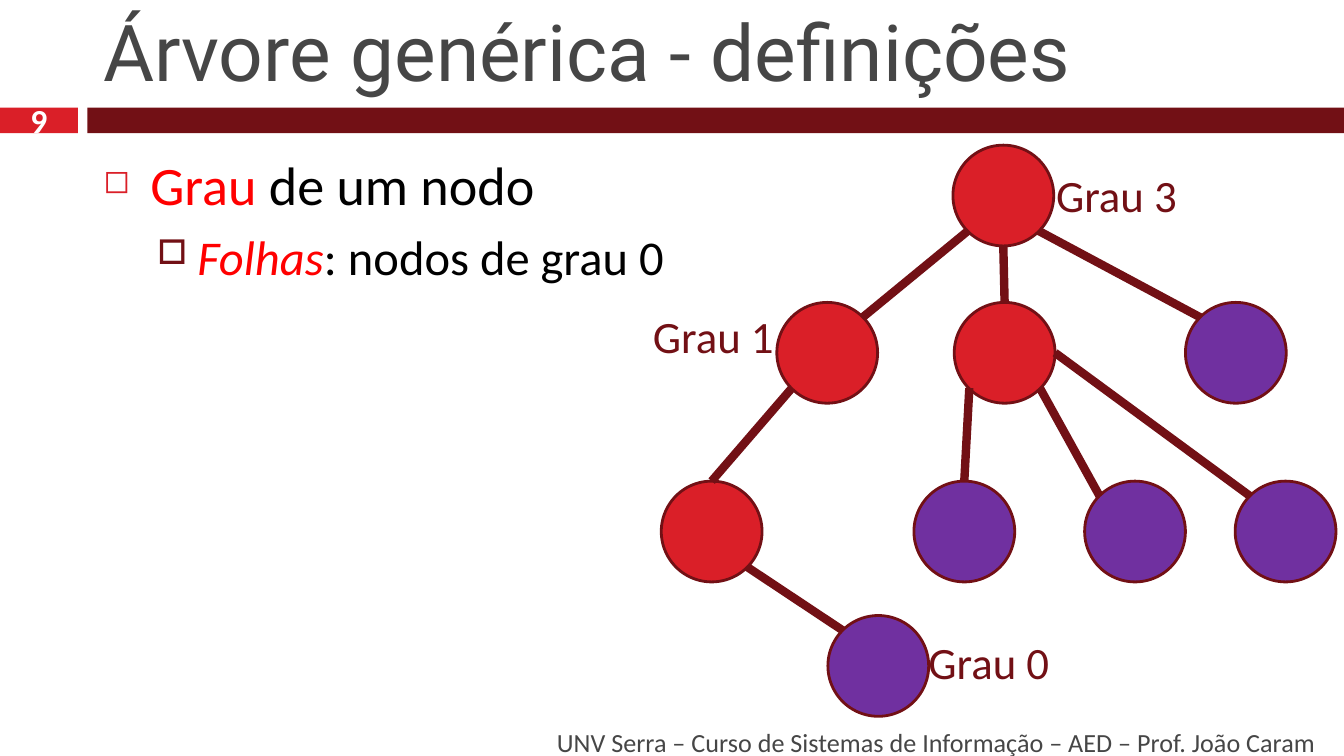
from lxml import etree
from pptx import Presentation
from pptx.dml.color import RGBColor
from pptx.enum.shapes import MSO_CONNECTOR as Connector, MSO_SHAPE as Shape
from pptx.enum.text import MSO_ANCHOR as Anchor, PP_ALIGN as Align
from pptx.oxml.ns import qn
from pptx.util import Inches, Pt

COLORS = {
    "red": "DA1F28",
    "wine": "721015",
    "purple": "7030A0",
    "highlight": "FF0000",
    "gray": "464646",
    "black": "000000",
    "white": "FFFFFF",
}

DIAMETER = 0.75
# Offsets from a node's corner, as shares of its diameter
SITES = {
    "top": (0.5, 0), "bottom": (0.5, 1), "right": (1, 0.5),
    "top left": (0.15, 0.15), "top right": (0.85, 0.15),
    "bottom left": (0.15, 0.85), "bottom right": (0.85, 0.85),
}

# name: (left, top, color)
NODES = {
    "root": (7.09, 1.08, "red"),
    "middle": (7.1, 2.25, "red"),
    "right leaf": (8.82, 2.25, "purple"),
    "left": (5.78, 2.25, "red"),
    "middle leaf 3": (9.19, 3.58, "purple"),
    "middle leaf 2": (8.07, 3.58, "purple"),
    "deep leaf": (6.16, 4.58, "purple"),
    "left child": (4.92, 3.58, "red"),
    "middle leaf 1": (6.8, 3.58, "purple"),
}

# (parent, its site, child, its site)
EDGES = [
    ("root", "bottom left", "left", "top right"),
    ("root", "bottom right", "right leaf", "top left"),
    ("root", "bottom", "middle", "top"),
    ("left", "bottom left", "left child", "top"),
    ("left child", "bottom right", "deep leaf", "top left"),
    ("middle", "bottom left", "middle leaf 1", "top"),
    ("middle", "bottom right", "middle leaf 2", "top left"),
    ("middle", "right", "middle leaf 3", "top left"),
]

DEGREES = [("Grau 1", 4.76, 2.25), ("Grau 3", 7.76, 1.2), ("Grau 0", 6.81, 4.67)]


def rgb(name):
    return RGBColor.from_string(COLORS[name])


def add_run(paragraph, text, size, color, font="Calibri", bold=False, italic=False):
    run = paragraph.add_run()
    run.text = text
    run.font.name = font
    run.font.size = Pt(size)
    run.font.bold = bold
    run.font.italic = italic
    run.font.color.rgb = rgb(color)


def add_frame(slide, box, anchor=Anchor.TOP):
    frame = slide.shapes.add_textbox(*map(Inches, box)).text_frame
    frame.word_wrap = True
    frame.vertical_anchor = anchor
    return frame


def add_text(slide, text, box, anchor=Anchor.TOP, align=Align.LEFT, **font):
    paragraph = add_frame(slide, box, anchor).paragraphs[0]
    paragraph.alignment = align
    add_run(paragraph, text, **font)


def set_bullet(paragraph, char, color, percent, margin, hanging):
    props = paragraph._p.get_or_add_pPr()
    props.set("marL", str(Inches(margin)))
    props.set("indent", str(-Inches(hanging)))
    bullet_color = etree.SubElement(props, qn("a:buClr"))
    etree.SubElement(bullet_color, qn("a:srgbClr"), val=COLORS[color])
    etree.SubElement(props, qn("a:buSzPct"), val=str(percent * 1000))
    etree.SubElement(props, qn("a:buChar"), char=char)


def add_definitions(slide):
    frame = add_frame(slide, (0.67, 1.08, 4.58, 4.29))
    degree = frame.paragraphs[0]
    degree.space_before = Pt(7)
    set_bullet(degree, "◻", "red", 60, margin=0.35, hanging=0.35)
    add_run(degree, "Grau", 29, "highlight")
    add_run(degree, " de um nodo", 29, "black")

    leaves = frame.add_paragraph()
    leaves.level = 1
    leaves.space_before = Pt(5.5)
    set_bullet(leaves, "□", "wine", 70, margin=0.7, hanging=0.3)
    add_run(leaves, "Folhas", 26, "highlight", italic=True)
    add_run(leaves, ": nodos de grau 0", 26, "black")


def add_filled(slide, kind, box, color, outline=None):
    shape = slide.shapes.add_shape(kind, *map(Inches, box))
    shape.shadow.inherit = False
    shape.fill.solid()
    shape.fill.fore_color.rgb = rgb(color)
    if outline:
        shape.line.color.rgb = rgb(outline)
        shape.line.width = Pt(1.5)
    else:
        shape.line.fill.background()
    return shape


def site_point(name, site):
    """Place of a connection site on the rim of a node."""
    left, top, _ = NODES[name]
    dx, dy = SITES[site]
    return Inches(left + dx * DIAMETER), Inches(top + dy * DIAMETER)


def add_edge(slide, circles, parent, parent_site, child, child_site):
    edge = slide.shapes.add_connector(
        Connector.STRAIGHT,
        *site_point(parent, parent_site), *site_point(child, child_site))
    if child_site == "top":
        edge.end_connect(circles[child], 0)
    edge.line.color.rgb = rgb("wine")
    edge.line.width = Pt(4.5)
    etree.SubElement(edge._element.spPr, qn("a:effectLst"))


def add_tree(slide):
    for label, left, top in DEGREES:
        add_text(slide, label, (left, top, 1.26, 0.5), size=24, color="wine")
    circles = {
        name: add_filled(slide, Shape.OVAL, (left, top, DIAMETER, DIAMETER),
                         color, outline="wine")
        for name, (left, top, color) in NODES.items()
    }
    for edge in EDGES:
        add_edge(slide, circles, *edge)


def main():
    prs = Presentation()
    prs.slide_width = Inches(10)
    prs.slide_height = Inches(10) * 9 // 16
    slide = prs.slides.add_slide(prs.slide_layouts[6])

    add_filled(slide, Shape.RECTANGLE, (0, 0.8, 0.58, 0.19), "red")
    add_filled(slide, Shape.RECTANGLE, (0.65, 0.8, 9.35, 0.19), "wine")
    add_text(slide, "Árvore genérica - definições", (0.67, 0.13, 9.06, 0.64),
             anchor=Anchor.BOTTOM, size=42, color="gray", font="Roboto")
    add_definitions(slide)
    add_text(slide,
             "UNV Serra – Curso de Sistemas de Informação – AED – Prof. João Caram",
             (0.67, 5.37, 9.22, 0.3), anchor=Anchor.MIDDLE, align=Align.RIGHT,
             size=14, color="gray")
    add_text(slide, "9", (0, 0.79, 0.58, 0.2), anchor=Anchor.MIDDLE,
             align=Align.CENTER, size=18, color="white", bold=True)
    add_tree(slide)

    prs.save("out.pptx")


if __name__ == "__main__":
    main()
